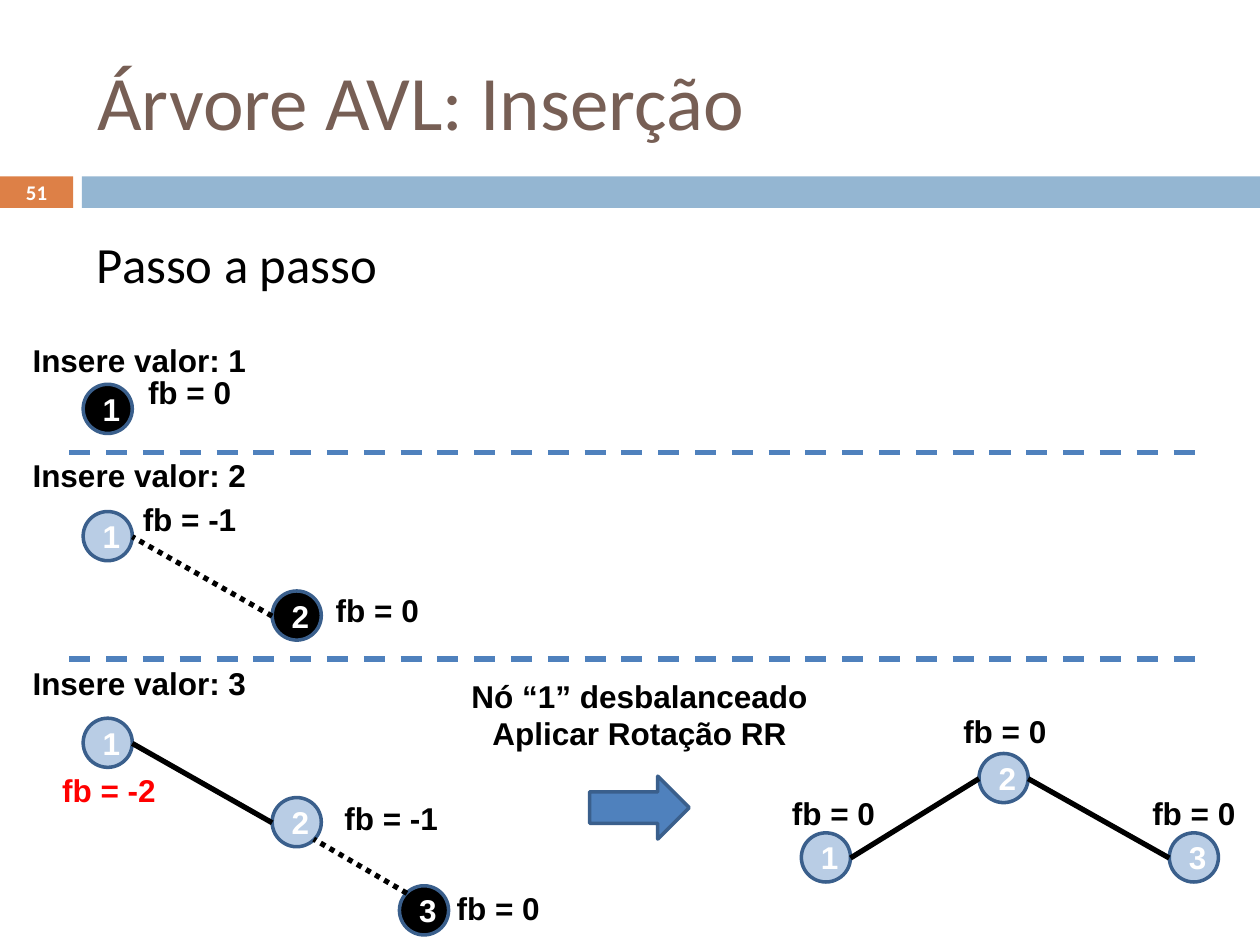
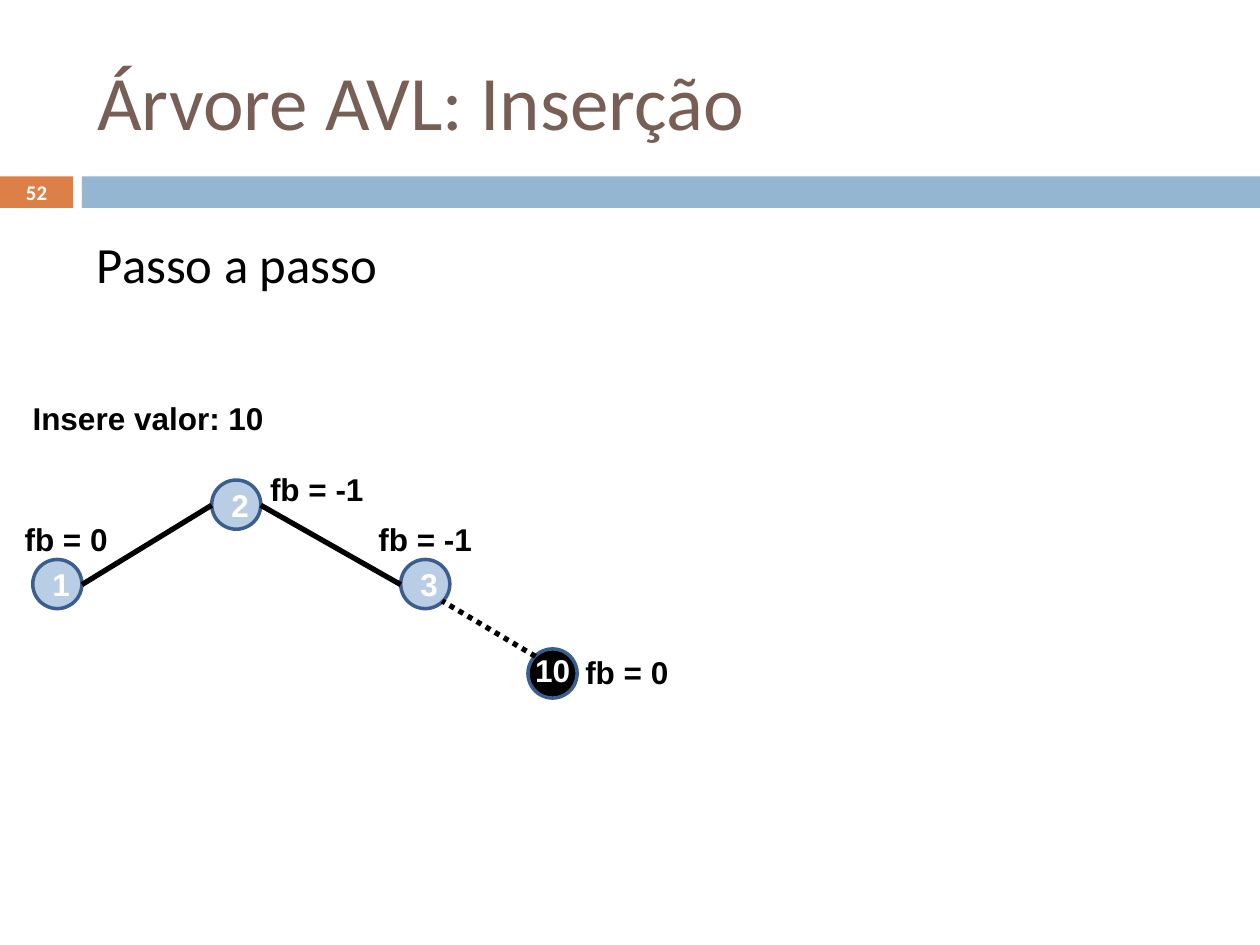
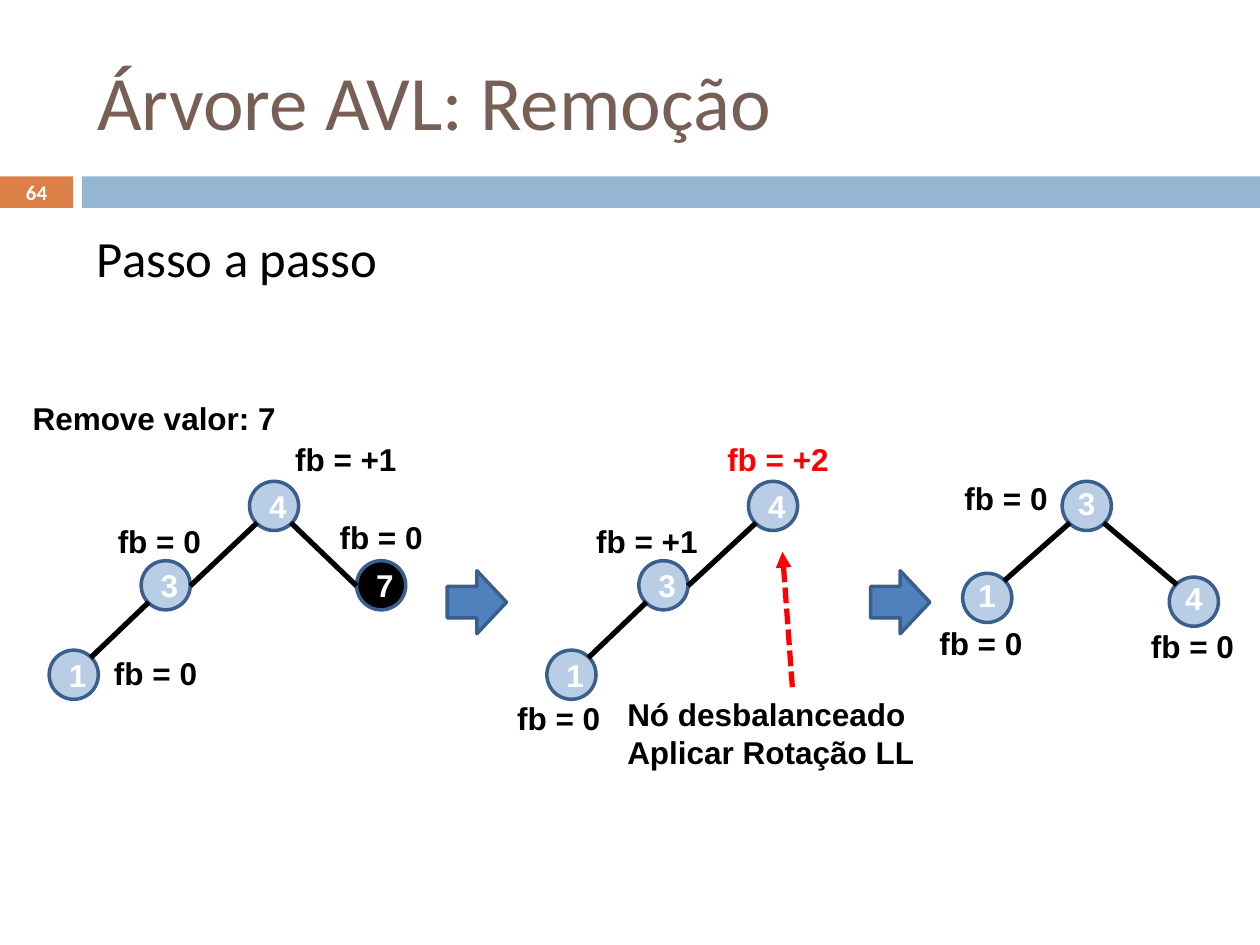
from lxml.etree import SubElement
from pptx import Presentation
from pptx.dml.color import RGBColor
from pptx.enum.dml import MSO_LINE as DASH
from pptx.enum.shapes import MSO_CONNECTOR as LINK, MSO_SHAPE as SHAPE
from pptx.enum.text import MSO_ANCHOR as ANCHOR, MSO_AUTO_SIZE as AUTO, PP_ALIGN as ALIGN
from pptx.oxml.ns import qn
from pptx.util import Pt

PX = 9144
rgb = RGBColor.from_string
ORANGE, BAND, BROWN = "DD8047", "94B6D2", "775F55"
BLACK, WHITE, RED = "000000", "FFFFFF", "FF0000"
PALE, BLUE, NAVY = "B9CDE5", "4F81BD", "3A5F8C"
NODE = 39
SITES = {"l": (0, 20), "r": (39, 20), "tl": (6, 6), "tr": (33, 6), "bl": (6, 33), "br": (33, 33)}


def write(frame, text, size=18, font="Arial", color=BLACK, bold=True, align=ALIGN.CENTER):
    frame.word_wrap = True
    frame.text = text
    for paragraph in frame.paragraphs:
        paragraph.alignment = align
        paragraph.font.size = Pt(size)
        paragraph.font.name = font
        paragraph.font.bold = bold
        paragraph.font.color.rgb = rgb(color)


def draw_line(slide, start, end, color=BLACK, dash=None):
    line = slide.shapes.add_connector(LINK.STRAIGHT, *[n * PX for n in (*start, *end)])
    line.line.color.rgb = rgb(color)
    line.line.width = Pt(3)
    if dash:
        line.line.dash_style = dash
    SubElement(line._element.spPr, qn("a:effectLst"))
    return line


STEPS = [
    {
        "title": "Árvore AVL: Inserção", "number": "51", "body_top": 180,
        "captions": [(266, "Insere valor: 1"), (357, "Insere valor: 2"), (522, "Insere valor: 3")],
        "separators": [359, 523],
        "nodes": [(66, 305, "1", BLACK), (66, 406, "1", PALE), (216, 469, "2", BLACK),
                  (66, 570, "1", PALE), (216, 633, "2", PALE), (317, 703, "3", BLACK),
                  (777, 598, "2", PALE), (636, 661, "1", PALE), (928, 661, "3", PALE)],
        "edges": [(2, "l", 1, "r", DASH.ROUND_DOT), (4, "l", 3, "r", None),
                  (5, "tl", 4, "br", DASH.ROUND_DOT), (7, "r", 6, "l", None), (8, "l", 6, "r", None)],
        "factors": [(102, 291, "0"), (251, 464, "0"), (102, 392, "-1"), (347, 701, "0"),
                    (262, 629, "-1"), (38, 607, "-2"), (613, 625, "0"), (899, 625, "0"),
                    (749, 560, "0")],
        "arrows": [(468, 616, 79)],
        "advice": (350, 532, 315, "Nó “1” desbalanceado\nAplicar Rotação RR", ALIGN.CENTER),
    },
    {
        "title": "Árvore AVL: Inserção", "number": "52", "body_top": 180,
        "captions": [(312, "Insere valor: 10")],
        "nodes": [(168, 381, "2", PALE), (26, 444, "1", PALE), (318, 444, "3", PALE),
                  (419, 515, "10", BLACK)],
        "overlaid": [3],
        "edges": [(1, "r", 0, "l", None), (2, "l", 0, "r", None), (3, "tl", 2, "br", DASH.ROUND_DOT)],
        "factors": [(449, 513, "0"), (4, 408, "0"), (289, 408, "-1"), (203, 368, "-1")],
    },
    {
        "title": "Árvore AVL: Remoção", "number": "64", "body_top": 175,
        "captions": [(312, "Remove valor: 7")],
        "nodes": [(198, 382, "4", PALE), (39, 516, "1", PALE), (112, 445, "3", PALE),
                  (283, 445, "7", BLACK), (594, 382, "4", PALE), (434, 516, "1", PALE),
                  (507, 445, "3", PALE), (843, 382, "3", PALE), (764, 455, "1", PALE),
                  (928, 458, "4", PALE)],
        "overlaid": [7, 8, 9],
        "edges": [(2, "r", 0, "bl", None), (1, "tr", 2, "bl", None), (3, "l", 0, "br", None),
                  (6, "r", 4, "bl", None), (5, "tr", 6, "bl", None),
                  (8, "tr", 7, "bl", None), (9, "tl", 7, "br", None)],
        "factors": [(75, 514, "0"), (78, 409, "0"), (254, 406, "0"), (222, 344, "+1"),
                    (395, 550, "0"), (461, 409, "+1"), (565, 344, "+2"), (730, 490, "0"),
                    (898, 493, "0"), (750, 375, "0")],
        "arrows": [(355, 453, 47), (691, 453, 47)],
        "advice": (488, 547, 281, "Nó desbalanceado\nAplicar Rotação LL", ALIGN.LEFT),
        "pointer": ((621, 438), (629, 547)),
    },
]

prs = Presentation()
prs.slide_width, prs.slide_height = 1000 * PX, 750 * PX

for step in STEPS:
    slide = prs.slides.add_slide(prs.slide_layouts[5])
    shapes = slide.shapes

    for left, width, color in [(0, 58, ORANGE), (65, 935, BAND)]:
        band = shapes.add_shape(SHAPE.RECTANGLE, left * PX, 140 * PX, width * PX, 25 * PX)
        band.shadow.inherit = False
        band.fill.solid()
        band.fill.fore_color.rgb = rgb(color)
        band.line.fill.background()

    heading = shapes.title
    heading.left, heading.top, heading.width, heading.height = [n * PX for n in (67, 25, 892, 108)]
    heading.text_frame.vertical_anchor = ANCHOR.MIDDLE
    write(heading.text_frame, step["title"], 44, "Calibri", BROWN, False, ALIGN.LEFT)

    page = shapes.add_textbox(0, 139 * PX, 58 * PX, 27 * PX).text_frame
    page.vertical_anchor = ANCHOR.MIDDLE
    page.margin_top = page.margin_bottom = 0
    write(page, step["number"], 11.9, "Calibri", WHITE)

    topic = shapes.add_textbox(67 * PX, step["body_top"] * PX, 892 * PX, 492 * PX).text_frame
    topic.text = "Passo a passo"
    bullet = topic.paragraphs[0]._p.get_or_add_pPr()
    bullet.set("marL", str(35 * PX))
    bullet.set("indent", str(-35 * PX))
    SubElement(SubElement(bullet, qn("a:buClr")), qn("a:srgbClr"), val=ORANGE)
    SubElement(bullet, qn("a:buSzPct"), val="60000")
    SubElement(bullet, qn("a:buChar"), char="◻")
    write(topic, "Passo a passo", 29, "Calibri", BLACK, False, ALIGN.LEFT)

    for y in step.get("separators", []):
        draw_line(slide, (55, y), (957, y), BLUE, DASH.DASH)

    labels = [(16, y, 281, text, BLACK, ALIGN.LEFT) for y, text in step["captions"]]
    for x, y, balance in step["factors"]:
        labels.append((x, y, 105 if "+" in balance else 97, f"fb = {balance}",
                       RED if "2" in balance else BLACK, ALIGN.CENTER))
    if "advice" in step:
        x, y, width, text, align = step["advice"]
        labels.append((x, y, width, text, BLACK, align))

    for index, (x, y, value, color) in enumerate(step["nodes"]):
        node = shapes.add_shape(SHAPE.OVAL, x * PX, y * PX, NODE * PX, NODE * PX)
        node.shadow.inherit = False
        node.fill.solid()
        node.fill.fore_color.rgb = rgb(color)
        node.line.color.rgb = rgb(NAVY)
        node.line.width = Pt(2)
        if index in step.get("overlaid", []):
            labels.append((x - 6, y - 3, 51, value, WHITE, ALIGN.CENTER))
        else:
            node.text_frame.vertical_anchor = ANCHOR.MIDDLE
            write(node.text_frame, value, color=WHITE)

    for child, child_site, parent, parent_site, dash in step["edges"]:
        ends = []
        for index, site in [(child, child_site), (parent, parent_site)]:
            x, y = step["nodes"][index][:2]
            ends.append((x + SITES[site][0], y + SITES[site][1]))
        draw_line(slide, *ends, dash=dash)

    for x, y, width in step.get("arrows", []):
        arrow = shapes.add_shape(SHAPE.RIGHT_ARROW, x * PX, y * PX, width * PX, 50 * PX)
        arrow.shadow.inherit = False
        arrow.fill.solid()
        arrow.fill.fore_color.rgb = rgb(BLUE)
        arrow.line.color.rgb = rgb(NAVY)
        arrow.line.width = Pt(2)

    for x, y, width, text, color, align in labels:
        height = 71 if "\n" in text else 40
        label = shapes.add_textbox(x * PX, y * PX, width * PX, height * PX).text_frame
        label.auto_size = AUTO.SHAPE_TO_FIT_TEXT
        write(label, text, color=color, align=align)

    if "pointer" in step:
        pointer = draw_line(slide, *step["pointer"], RED, DASH.SQUARE_DOT)
        pointer.line._get_or_add_ln().append(
            pointer._element.makeelement(qn("a:headEnd"), {"type": "triangle"}))
        pointer.line.dash_style = DASH.SQUARE_DOT

prs.save("out.pptx")
